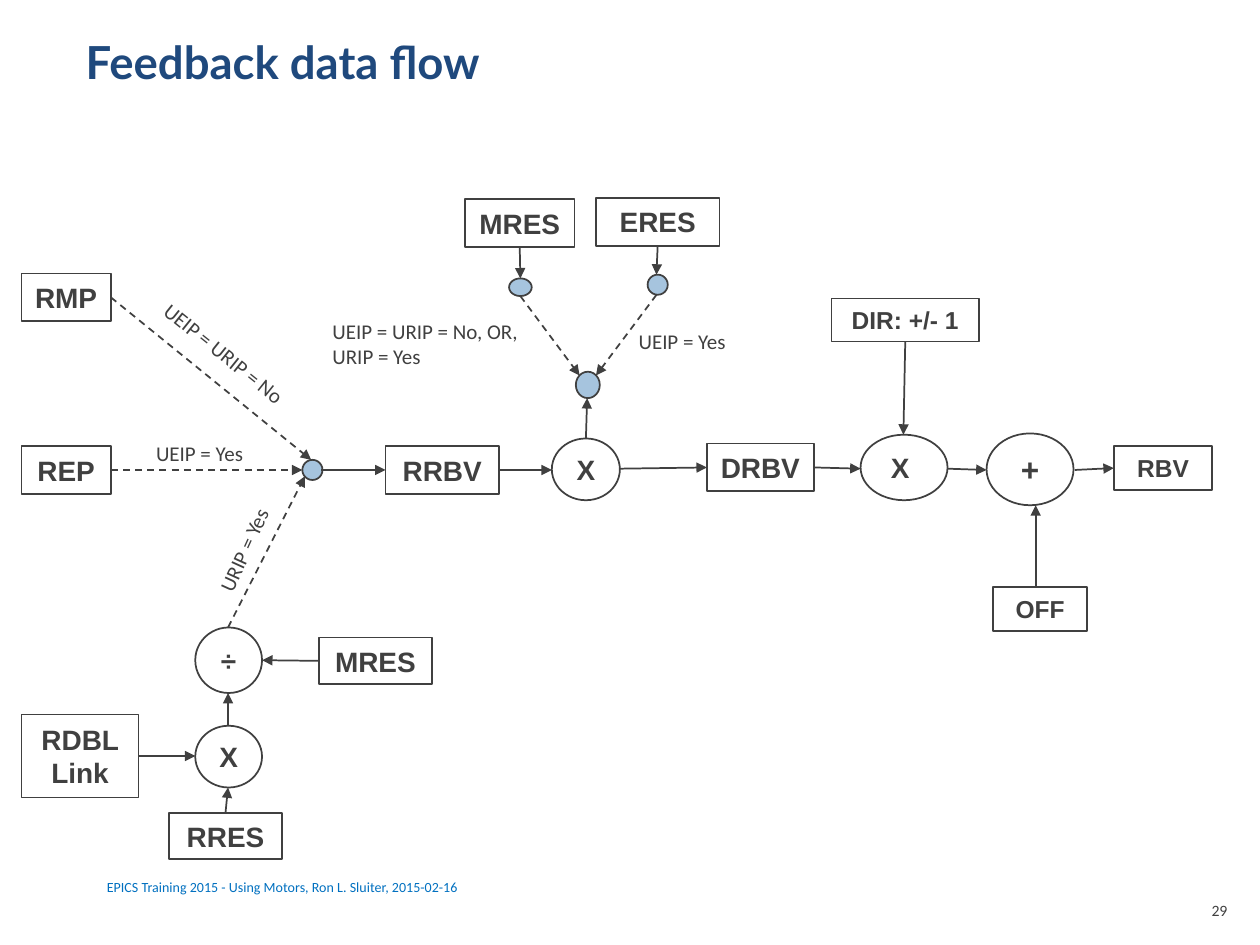
"""Draw the feedback data flow of the motor record."""
from lxml import etree
from pptx import Presentation
from pptx import util as u
from pptx.dml.color import RGBColor
from pptx.enum import dml, shapes, text
from pptx.oxml import ns

INK = "404040"
DOT = "A6C4DE"


def tint(code):
    return RGBColor.from_string(code)


class Chart:
    def __init__(self, slide):
        self.slide = slide
        self.nodes = {}

    def style(self, frame, size, face, color=INK, bold=False, align=None):
        for par in frame.paragraphs:
            par.alignment = align
            for run in par.runs:
                font = run.font
                font.size, font.name, font.bold = u.Pt(size), face, bold
                font.color.rgb = tint(color)

    def title(self, words, spot):
        shape = self.slide.shapes.title
        shape.left, shape.top, shape.width, shape.height = map(u.Inches, spot)
        frame = shape.text_frame
        frame.text = words
        frame.vertical_anchor = text.MSO_ANCHOR.TOP
        self.style(frame, 26, "Lato", "1F497D", True, text.PP_ALIGN.LEFT)

    def label(self, words, spot, size=12, color=INK, turn=0, wrap=False, align=None):
        shape = self.slide.shapes.add_textbox(*map(u.Inches, spot))
        shape.rotation = turn
        frame = shape.text_frame
        frame.word_wrap = wrap
        frame.text = words
        self.style(frame, size, "Calibri", color, align=align)

    def outline(self, kind, spot):
        shape = self.slide.shapes.add_shape(kind, *map(u.Inches, spot))
        shape.shadow.inherit = False
        shape.fill.background()
        shape.line.color.rgb = tint(INK)
        shape.line.width = u.Pt(1)
        return shape

    def node(self, kind, words, spot, size=16):
        shape = self.outline(kind, spot)
        frame = shape.text_frame
        frame.margin_left = frame.margin_right = u.Inches(0.05)
        frame.margin_top = frame.margin_bottom = u.Inches(0.02)
        frame.word_wrap = True
        frame.vertical_anchor = text.MSO_ANCHOR.MIDDLE
        frame.text = words
        self.style(frame, size, "Arial", INK, True, text.PP_ALIGN.CENTER)
        return shape

    def box(self, key, words, spot, size=16):
        self.nodes[key] = self.node(shapes.MSO_SHAPE.RECTANGLE, words, spot, size)

    def ring(self, words, spot, size=16):
        self.node(shapes.MSO_SHAPE.OVAL, words, spot, size)

    def dot(self, spot):
        shape = self.outline(shapes.MSO_SHAPE.OVAL, spot)
        shape.fill.solid()
        shape.fill.fore_color.rgb = tint(DOT)

    def arrow(self, start, end, dash=False):
        """Join two ends, each a point or a box key with a side."""
        points = [(0, 0) if e[0] in self.nodes else e for e in (start, end)]
        line = self.slide.shapes.add_connector(
            shapes.MSO_CONNECTOR.STRAIGHT, *map(u.Inches, points[0] + points[1]))
        for join, (key, side) in ((line.begin_connect, start), (line.end_connect, end)):
            if key in self.nodes:
                join(self.nodes[key], side)
        line.line.color.rgb = tint(INK)
        line.line.width = u.Pt(1)
        if dash:
            line.line.dash_style = dml.MSO_LINE.DASH
        props = line._element.spPr
        etree.SubElement(props.find(ns.qn("a:ln")), ns.qn("a:tailEnd"), type="triangle")
        etree.SubElement(props, ns.qn("a:effectLst"))


BOXES = [
    ("RMP", "RMP", (0.17, 2.17, 0.71, 0.38)),
    ("REP", "REP", (0.17, 3.54, 0.71, 0.38)),
    ("RRBV", "RRBV", (3.06, 3.54, 0.9, 0.38)),
    ("DRBV", "DRBV", (5.61, 3.52, 0.85, 0.38)),
    ("motor", "MRES", (3.69, 1.58, 0.87, 0.38)),
    ("ERES", "ERES", (4.73, 1.57, 0.98, 0.38)),
    ("RDBL", "RDBL Link", (0.17, 5.67, 0.93, 0.66)),
    ("ratio", "MRES", (2.53, 5.06, 0.9, 0.37)),
    ("RRES", "RRES", (1.34, 6.45, 0.9, 0.37)),
    ("DIR", "DIR: +/- 1", (6.6, 2.37, 1.17, 0.34), 14),
    ("OFF", "OFF", (7.88, 4.66, 0.75, 0.35), 14),
    ("RBV", "RBV", (8.84, 3.54, 0.78, 0.35), 14),
]
RINGS = [
    ("X", (4.38, 3.48, 0.54, 0.49)),
    ("X ", (6.83, 3.45, 0.69, 0.52)),
    ("+", (7.83, 3.44, 0.69, 0.57), 18),
    ("÷", (1.55, 4.98, 0.53, 0.52)),
    ("X", (1.55, 5.76, 0.53, 0.49)),
]
DOTS = [
    (2.4, 3.65, 0.16, 0.16),
    (4.57, 2.95, 0.19, 0.21),
    (4.04, 2.21, 0.18, 0.14),
    (5.14, 2.18, 0.16, 0.16),
]
SOLID = [
    ((2.55, 3.73), ("RRBV", 1)),
    (("RRBV", 3), (4.38, 3.73)),
    ((4.92, 3.72), ("DRBV", 1)),
    (("DRBV", 3), (6.83, 3.72)),
    ((7.52, 3.72), (7.83, 3.73)),
    ((8.53, 3.73), ("RBV", 1)),
    (("DIR", 2), (7.17, 3.45)),
    ((8.22, 4.65), (8.22, 4.01)),
    ((4.65, 3.48), (4.66, 3.16)),
    (("motor", 2), (4.13, 2.21)),
    (("ERES", 2), (5.21, 2.18)),
    (("RDBL", 3), (1.55, 6)),
    (("RRES", 0), (1.81, 6.25)),
    ((1.81, 5.76), (1.81, 5.5)),
    (("ratio", 1), (2.08, 5.24)),
]
DASHED = [
    (("RMP", 3), (2.47, 3.65)),
    (("REP", 3), (2.4, 3.73)),
    ((1.81, 4.98), (2.42, 3.78)),
    ((4.13, 2.35), (4.6, 2.98)),
    ((5.21, 2.34), (4.73, 2.98)),
]


def main():
    deck = Presentation()
    deck.slide_width, deck.slide_height = u.Inches(10), u.Inches(7.5)
    flow = Chart(deck.slides.add_slide(deck.slide_layouts[5]))
    flow.title("Feedback data flow", (0.58, 0.22, 9, 1.25))
    for row in BOXES:
        flow.box(*row)
    for row in RINGS:
        flow.ring(*row)
    for spot in DOTS:
        flow.dot(spot)
    for ends in SOLID:
        flow.arrow(*ends)
    for ends in DASHED:
        flow.arrow(*ends, dash=True)
    flow.label("UEIP = Yes", (1.14, 3.45, 0.94, 0.3))
    flow.label("UEIP = Yes", (4.97, 2.56, 0.94, 0.3))
    flow.label("UEIP = URIP = No", (1.1, 2.66, 1.37, 0.3), turn=38.8)
    flow.label("URIP = Yes", (1.47, 4.19, 0.95, 0.3), turn=294.5)
    flow.label("UEIP = URIP = No, OR,\nURIP = Yes", (2.54, 2.48, 1.7, 0.5))
    flow.label("EPICS Training 2015 - Using Motors, Ron L. Sluiter, 2015-02-16",
               (0.75, 6.92, 7.5, 0.24), 8, "0070C0", wrap=True)
    flow.label("29", (9.42, 7.1, 0.42, 0.4), 9, wrap=True, align=text.PP_ALIGN.RIGHT)
    deck.save("out.pptx")


if __name__ == "__main__":
    main()
